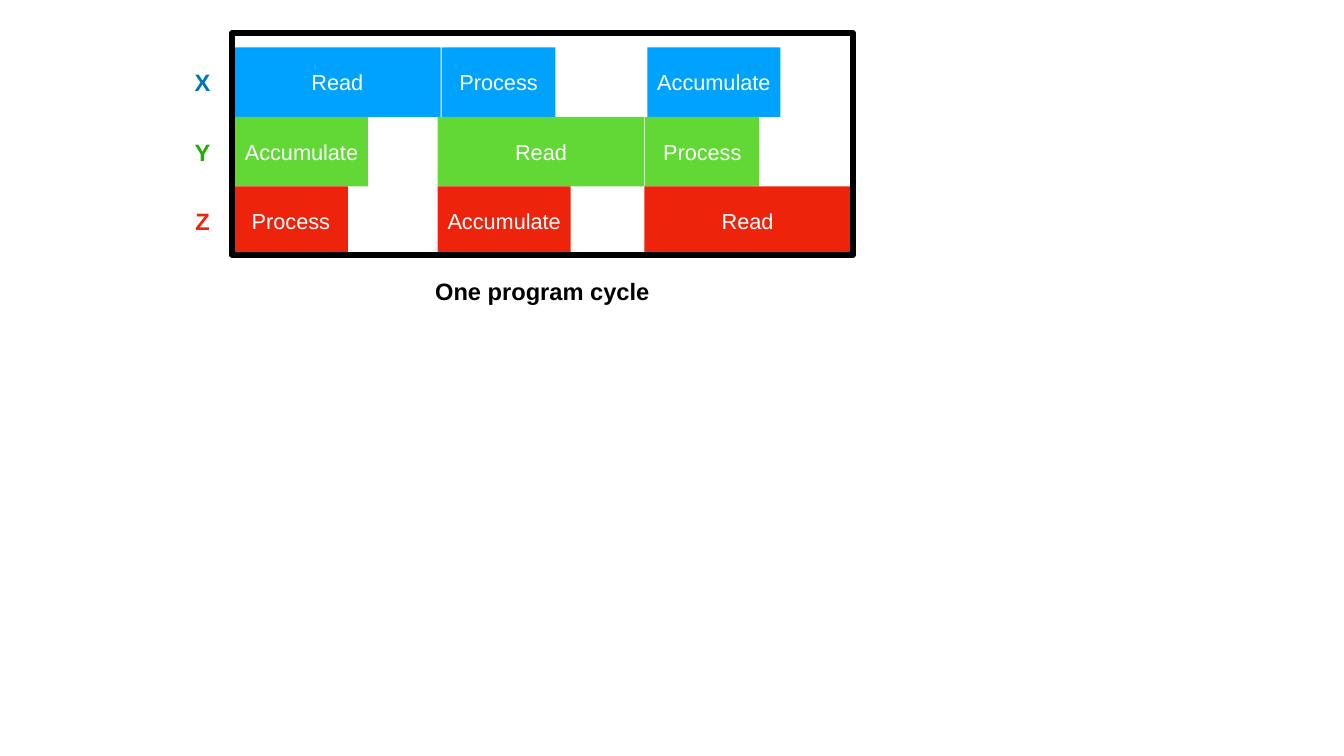
import pptx
import pptx.util
import pptx.dml.color
import pptx.enum.shapes
import pptx.enum.text

Inches = pptx.util.Inches
RECTANGLE = pptx.enum.shapes.MSO_SHAPE.RECTANGLE


def color(hex_string):
    return pptx.dml.color.RGBColor.from_string(hex_string)


def write(box, text, size, hex_string, bold=False):
    frame = box.text_frame
    frame.text = text
    frame.margin_left = frame.margin_right = Inches(0.04)
    frame.margin_top = frame.margin_bottom = Inches(0.04)
    frame.vertical_anchor = pptx.enum.text.MSO_ANCHOR.MIDDLE
    frame.word_wrap = not bold
    if bold:
        frame.auto_size = pptx.enum.text.MSO_AUTO_SIZE.SHAPE_TO_FIT_TEXT
    paragraph = frame.paragraphs[0]
    paragraph.alignment = pptx.enum.text.PP_ALIGN.CENTER
    font = paragraph.runs[0].font
    font.name = "Arial"
    font.size = pptx.util.Pt(size)
    font.bold = bold
    font.color.rgb = color(hex_string)


presentation = pptx.Presentation()
presentation.slide_width = Inches(13.33)
presentation.slide_height = Inches(7.5)
slide = presentation.slides.add_slide(presentation.slide_layouts[6])

first_row_top = 0.47
row_height = 0.69
label_height = 0.36
stage_widths = {"Read": 2.05, "Process": 1.13, "Accumulate": 1.32}
axes = [
    ("X", "00A2FF", "0076BA", [("Read", 2.32), ("Process", 4.38), ("Accumulate", 6.42)]),
    ("Y", "61D836", "1EB001", [("Accumulate", 2.33), ("Read", 4.34), ("Process", 6.4)]),
    ("Z", "EE230C", "EE230C", [("Process", 2.32), ("Accumulate", 4.34), ("Read", 6.39)]),
]

for row, (axis, stage_color, axis_color, stages) in enumerate(axes):
    row_top = first_row_top + row * row_height
    for stage, start in stages:
        block = slide.shapes.add_shape(
            RECTANGLE, Inches(start), Inches(row_top),
            Inches(stage_widths[stage]), Inches(row_height))
        block.shadow.inherit = False
        block.fill.solid()
        block.fill.fore_color.rgb = color(stage_color)
        block.line.fill.background()
        write(block, stage, 15.5, "FFFFFF")
    axis_label = slide.shapes.add_textbox(
        Inches(1.89), Inches(row_top + (row_height - label_height) / 2),
        Inches(0.24), Inches(label_height))
    write(axis_label, axis, 16.9, axis_color, bold=True)

cycle_left, cycle_width = 2.3, 6.16
cycle = slide.shapes.add_shape(
    RECTANGLE, Inches(cycle_left), Inches(0.33), Inches(cycle_width), Inches(2.2))
cycle.shadow.inherit = False
cycle.fill.background()
cycle.line.color.rgb = color("000000")
cycle.line.width = pptx.util.Pt(4)

caption_width = 2.22
caption = slide.shapes.add_textbox(
    Inches(cycle_left + (cycle_width - caption_width) / 2), Inches(2.71),
    Inches(caption_width), Inches(label_height))
write(caption, "One program cycle", 16.9, "000000", bold=True)

presentation.save("out.pptx")
